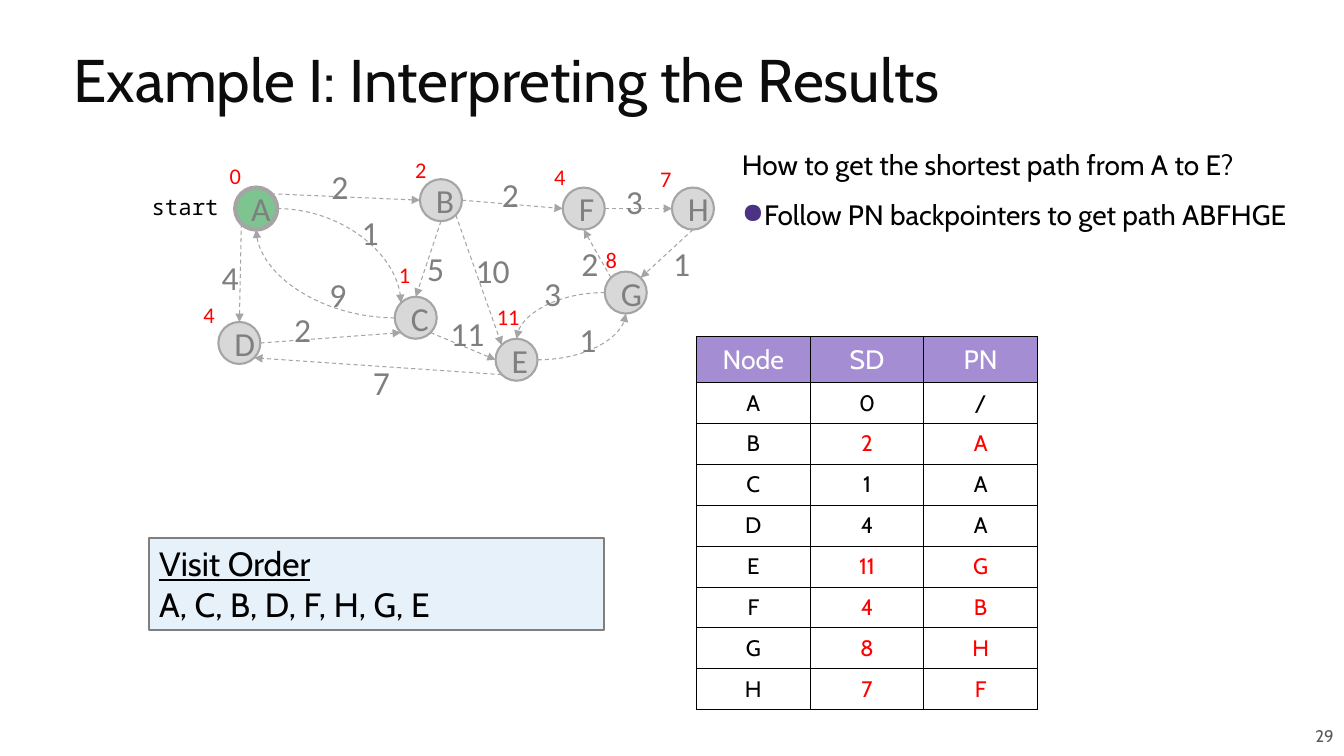
from lxml import etree
from pptx import Presentation
from pptx.dml.color import RGBColor
from pptx.enum import dml, shapes, text
from pptx.oxml import ns
from pptx.util import Pt

BLACK = RGBColor(0, 0, 0)
TITLE = RGBColor(0x0C, 0x0C, 0x0C)
WHITE = RGBColor(0xFF, 0xFF, 0xFF)
RED = RGBColor(0xFF, 0, 0)
GREEN = RGBColor(0x7D, 0xC4, 0x91)
PALE = RGBColor(0xD8, 0xD8, 0xD8)
EDGE = RGBColor(0xA5, 0xA5, 0xA5)
GREY = RGBColor(0x7F, 0x7F, 0x7F)
NUMBER = RGBColor(0x59, 0x59, 0x59)
PURPLE = RGBColor(0xA4, 0x8D, 0xD3)
BULLET = RGBColor(0x4C, 0x32, 0x82)
BLUE = RGBColor(0xE7, 0xF1, 0xFA)

SIZE = 30
NODES = {"A": (168, 134), "B": (300, 128), "C": (282, 212), "D": (156, 230),
         "E": (354, 242), "F": (402, 134), "G": (432, 194), "H": (480, 134)}
DISTANCES = [("0", 157, 112.3), ("2", 289.4, 108), ("1", 277.9, 183),
             ("4", 138.2, 211.7), ("11", 347.8, 213.1), ("4", 388.8, 113),
             ("8", 425.5, 172), ("7", 464.4, 114.5)]
SITES = ["top", "top left", "left", "bottom left",
         "bottom", "bottom right", "right", "top right"]
EDGES = [("A", "right", "C", "top left", "1", 251.3, 147.6),
         ("C", "left", "A", "bottom", "9", 228.2, 192.2),
         ("G", "left", "E", "top", "3", 381.6, 191.5),
         ("E", "right", "G", "bottom", "1", 406.8, 223.9),
         ("A", "bottom left", "D", "top", "4", 151.2, 180),
         ("D", "right", "C", "bottom left", "2", 203, 217.4),
         ("A", "top right", "B", "left", "2", 229.7, 115.2),
         ("B", "right", "F", "left", "2", 351.4, 121),
         ("F", "right", "H", "left", "3", 440, 126),
         ("G", "top left", "F", "bottom", "2", 408.2, 170),
         ("H", "bottom", "G", "top right", "1", 473.8, 170),
         ("B", "bottom right", "E", "top left", "10", 332.6, 175),
         ("B", "bottom", "C", "top", "5", 298.1, 173.5),
         ("C", "bottom right", "E", "left", "11", 314.6, 220.3),
         ("E", "bottom left", "D", "bottom right", "7", 259.2, 254.9)]
CURVED = EDGES[:4]
RESULTS = [("Node", "SD", "PN"), ("A", "0", "/"), ("B", "2", "A"),
           ("C", "1", "A"), ("D", "4", "A"), ("E", "11", "G"),
           ("F", "4", "B"), ("G", "8", "H"), ("H", "7", "F")]
PATH = "BEFGH"
QUESTION = ("How to get the shortest path from A to E?\n"
            "Follow PN backpointers to get path ABFHGE")
VISITS = "Visit Order\nA, C, B, D, F, H, G, E"

LEFT, CENTER, RIGHT = (text.PP_ALIGN.LEFT, text.PP_ALIGN.CENTER,
                       text.PP_ALIGN.RIGHT)
MIDDLE, TOP = text.MSO_ANCHOR.MIDDLE, text.MSO_ANCHOR.TOP


def write(tf, words, size, color, font="Cabin", align=LEFT, anchor=TOP,
          margins=(7.2, 3.6)):
    tf.text = words
    tf.word_wrap = True
    tf.vertical_anchor = anchor
    tf.margin_left = tf.margin_right = Pt(margins[0])
    tf.margin_top = tf.margin_bottom = Pt(margins[1])
    for p in tf.paragraphs:
        p.alignment = align
        for r in p.runs:
            r.font.size, r.font.name = Pt(size), font
            r.font.color.rgb = color
    return tf


def add_text(s, box, *args, **kwargs):
    return write(s.shapes.add_textbox(*map(Pt, box)).text_frame, *args, **kwargs)


def add_filled(s, kind, box, fill, line, width):
    sp = s.shapes.add_shape(kind, *map(Pt, box))
    sp.shadow.inherit = False
    sp.fill.solid()
    sp.fill.fore_color.rgb = fill
    sp.line.color.rgb = line
    sp.line.width = Pt(width)
    return sp


def site_point(name, site):
    reach = SIZE / 2 * (0.5 ** 0.5 if " " in site else 1)
    x, y = (v + SIZE / 2 for v in NODES[name])
    return (x + reach * (("right" in site) - ("left" in site)),
            y + reach * (("bottom" in site) - ("top" in site)))


def add_edge(s, circles, edge):
    start, leave, end, enter = edge[:4]
    curved = edge in CURVED
    kind = shapes.MSO_CONNECTOR.CURVE if curved else shapes.MSO_CONNECTOR.STRAIGHT
    points = site_point(start, leave) + site_point(end, enter)
    c = s.shapes.add_connector(kind, *map(Pt, points))
    c._connect_begin_to(circles[start], SITES.index(leave))
    c._connect_end_to(circles[end], SITES.index(enter))
    c.line.color.rgb = EDGE
    c.line.width = Pt(0.75)
    c.line.dash_style = dml.MSO_LINE.DASH
    spPr = c._element.spPr
    etree.SubElement(c.line._get_or_add_ln(), ns.qn("a:tailEnd"), type="triangle")
    etree.SubElement(spPr, ns.qn("a:effectLst"))
    if curved:
        spPr.find(ns.qn("a:prstGeom")).set("prst", "curvedConnector2")
        xfrm = spPr.find(ns.qn("a:xfrm"))
        if xfrm.flipV:
            xfrm.flipV, xfrm.flipH = False, not xfrm.flipH
            c._element.spPr.xfrm.set("rot", "10800000")


def add_graph(s):
    circles = {}
    for name, (x, y) in NODES.items():
        first = name == "A"
        sp = add_filled(s, shapes.MSO_SHAPE.OVAL, (x, y, SIZE, SIZE),
                        GREEN if first else PALE, EDGE, 3 if first else 1.5)
        write(sp.text_frame, name, 24, GREY, "Calibri", CENTER, MIDDLE)
        circles[name] = sp
    for edge in EDGES:
        add_edge(s, circles, edge)
    for *_, weight, x, y in EDGES:
        add_text(s, (x, y, 14.4 + 12.2 * len(weight), 36), weight, 24, GREY, "Calibri")
    for distance, x, y in DISTANCES:
        add_text(s, (x, y, 14.4 + 8.3 * len(distance), 26.6), distance, 16, RED,
                 "Calibri")
    add_text(s, (89.3, 128.2, 76.3, 37.4), "start", 16, BLACK, "Noto Sans Mono",
             RIGHT, margins=(9.4, 9.4))


def add_results(s):
    rows, cols = len(RESULTS), len(RESULTS[0])
    table = s.shapes.add_table(rows, cols, Pt(497.5), Pt(240.5),
                               Pt(243.6), Pt(262.4)).table
    for col in table.columns:
        col.width = Pt(81.2)
    for i, row in enumerate(RESULTS):
        table.rows[i].height = Pt(28.8 if i else 32)
        for j, value in enumerate(row):
            cell = table.cell(i, j)
            color = RED if j and row[0] in PATH else BLACK
            write(cell.text_frame, value, 16 if i else 19,
                  color if i else WHITE, align=CENTER)
            cell.vertical_anchor = MIDDLE
            cell.margin_left = cell.margin_right = Pt(5)
            cell.margin_top = cell.margin_bottom = Pt(5)
            tcPr = cell._tc.get_or_add_tcPr()
            for side in ("lnL", "lnR", "lnT", "lnB"):
                ln = etree.SubElement(tcPr, ns.qn("a:" + side), w=str(Pt(0.75)))
                fill = etree.SubElement(ln, ns.qn("a:solidFill"))
                etree.SubElement(fill, ns.qn("a:srgbClr"), val=str(BLACK))
            if i:
                cell.fill.background()
            else:
                cell.fill.solid()
                cell.fill.fore_color.rgb = PURPLE


def main():
    prs = Presentation()
    prs.slide_width, prs.slide_height = Pt(960), Pt(540)
    s = prs.slides.add_slide(prs.slide_layouts[5])

    title = s.shapes.title
    title.left, title.top, title.width, title.height = map(Pt, (45.4, 21, 880.6, 80))
    tf = write(title.text_frame, "Example I: Interpreting the Results", 43, TITLE,
               anchor=MIDDLE)
    tf.auto_size = text.MSO_AUTO_SIZE.NONE
    tf.paragraphs[0].line_spacing = 0.8

    tf = add_text(s, (526.3, 104.4, 416.2, 118.8), QUESTION, 20, BLACK,
                  margins=(3.6, 3.6))
    for p in tf.paragraphs:
        p.line_spacing = 0.9
    p = tf.paragraphs[1]
    p.space_before = Pt(14)
    pPr = p._p.get_or_add_pPr()
    pPr.set("marL", str(Pt(7.2)))
    pPr.set("indent", str(Pt(-7.9)))
    color = etree.SubElement(pPr, ns.qn("a:buClr"))
    etree.SubElement(color, ns.qn("a:srgbClr"), val=str(BULLET))
    etree.SubElement(pPr, ns.qn("a:buChar"), char="●")

    sp = add_filled(s, shapes.MSO_SHAPE.RECTANGLE, (106.6, 384.5, 324.7, 65.5),
                    BLUE, GREY, 1.5)
    tf = write(sp.text_frame, VISITS, 24, BLACK)
    tf.paragraphs[0].runs[0].font.underline = True

    add_graph(s)
    add_results(s)
    add_text(s, (622.8, 511.2, 337, 28.8), "29", 12, NUMBER, align=RIGHT,
             anchor=MIDDLE, margins=(7.2, 7.2))
    prs.save("out.pptx")


if __name__ == "__main__":
    main()
